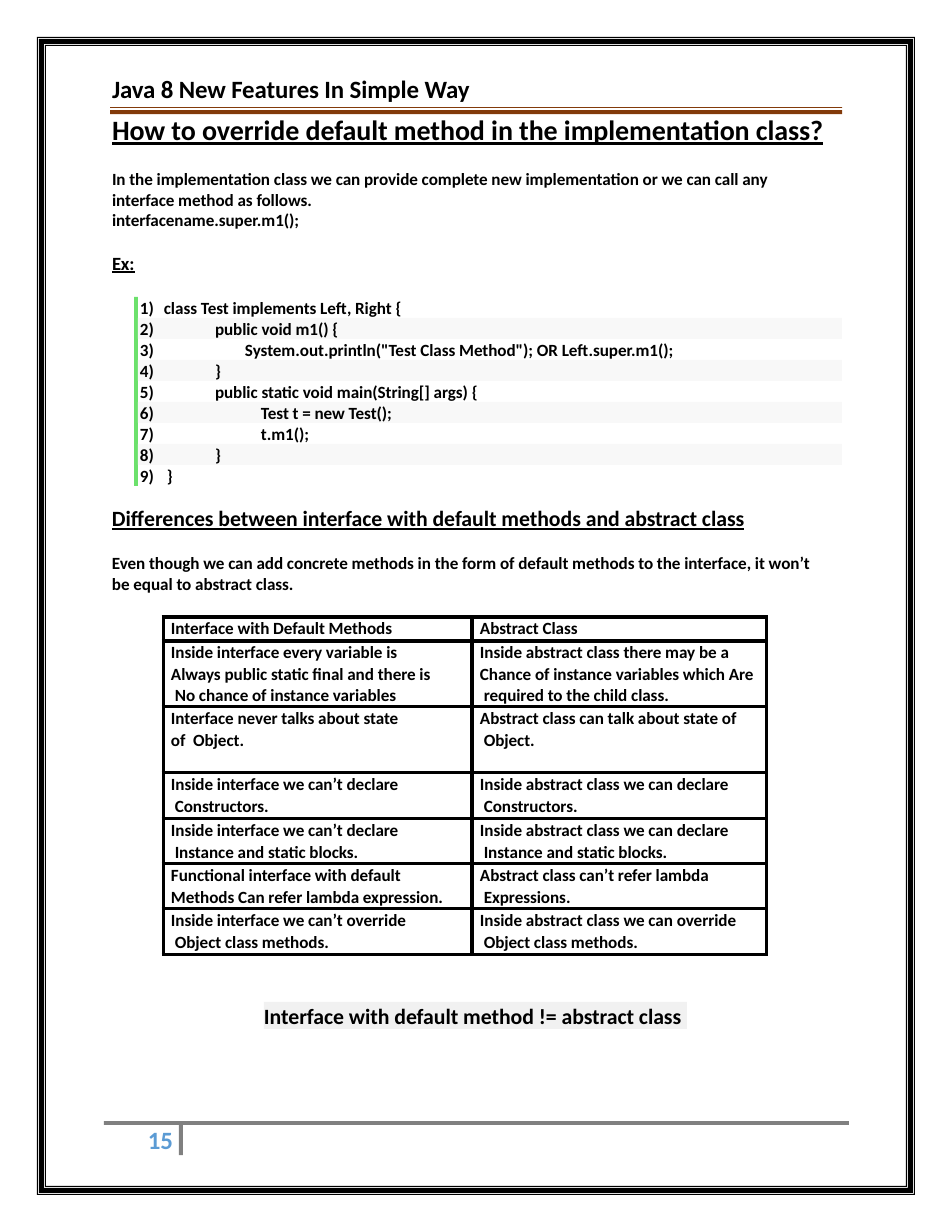
from copy import deepcopy

from lxml.etree import SubElement
from pptx import Presentation
from pptx.dml.color import RGBColor
from pptx.enum.shapes import MSO_SHAPE as Shape
from pptx.enum.text import MSO_ANCHOR as Anchor, MSO_AUTO_SIZE as AutoSize, PP_ALIGN as Align
from pptx.oxml.ns import qn
from pptx.util import Emu, Pt

EMU_PER_PX = 914400 / 112
WIDTH, HEIGHT = 952, 1232
BLACK, BROWN, GREY, GREEN = "000000", "823A0A", "808080", "6CE16C"
STRIPE, LABEL, BLUE = "F8F8F8", "F1F1F1", "5B9BD4"

CODE_TOP, CODE_PITCH = 297, 21
CODE_LINES = [
    (164, "class Test implements Left, Right {"),
    (215, "public void m1() {"),
    (245, 'System.out.println("Test Class Method"); OR Left.super.m1();'),
    (215, "}"),
    (215, "public static void main(String[] args) {"),
    (261, "Test t = new Test();"),
    (261, "t.m1();"),
    (215, "}"),
    (167, "}"),
]

COLUMN_WIDTHS = [309, 295]
ROW_HEIGHTS = [24, 66, 66, 46, 45, 45, 46]
# "\v" is a line break inside a paragraph
COMPARISON = [
    ("Interface with Default Methods", "Abstract Class"),
    ("Inside interface every variable is\vAlways public static final and there is\v"
     " No chance of instance variables",
     "Inside abstract class there may be a\vChance of instance variables which Are\v"
     " required to the child class."),
    ("Interface never talks about state\vof  Object.",
     "Abstract class can talk about state of\v Object."),
    ("Inside interface we can’t declare\v Constructors.",
     "Inside abstract class we can declare\v Constructors."),
    ("Inside interface we can’t declare\v Instance and static blocks.",
     "Inside abstract class we can declare\v Instance and static blocks."),
    ("Functional interface with default\vMethods Can refer lambda expression.",
     "Abstract class can’t refer lambda\v Expressions."),
    ("Inside interface we can’t override\v Object class methods.",
     "Inside abstract class we can override\v Object class methods."),
]


def px(*lengths):
    return [Emu(round(length * EMU_PER_PX)) for length in lengths]


def rgb(color):
    return RGBColor.from_string(color)


def box_points(left, top, right, bottom):
    return [(left, top), (right, top), (right, bottom), (left, bottom)]


class Page:
    """Holds the text style and the slide being drawn."""
    font = "Calibri"
    spacing = "-5"

    def __init__(self, slide):
        self.slide = slide

    def style(self, paragraph, size=11, color=BLACK, underline=False, before=0, line=1.0):
        paragraph.alignment = Align.LEFT
        paragraph.line_spacing = line
        paragraph.space_before = Pt(before)
        for run in paragraph.runs:
            run.font.name, run.font.size = self.font, Pt(size)
            run.font.bold, run.font.underline = True, underline
            run.font.color.rgb = rgb(color)
            run._r.get_or_add_rPr().set("spc", self.spacing)
        for line_break in paragraph._p.findall(qn("a:br")):
            line_break.append(deepcopy(paragraph.runs[0]._r.rPr))

    def fill_text(self, shape, paragraphs, anchor=Anchor.TOP, wrap=True):
        """Write (text, style options) pairs into a shape without insets."""
        frame = shape.text_frame
        frame.margin_left = frame.margin_right = frame.margin_top = frame.margin_bottom = 0
        frame.word_wrap, frame.auto_size = wrap, AutoSize.NONE
        frame.vertical_anchor = anchor
        frame.text = "\n".join(text for text, _ in paragraphs)
        for paragraph, (_, options) in zip(frame.paragraphs, paragraphs):
            self.style(paragraph, **options)

    def placeholder(self, index, place, paragraphs):
        shape = self.slide.placeholders[index]
        shape.left, shape.top, shape.width, shape.height = px(*place)
        self.fill_text(shape, paragraphs)
        for paragraph in shape.text_frame.paragraphs:
            properties = paragraph._p.get_or_add_pPr()
            properties.set("marL", "0")
            properties.set("indent", "0")
            SubElement(properties, qn("a:buNone"))

    def text(self, place, paragraphs, **layout):
        self.fill_text(self.slide.shapes.add_textbox(*px(*place)), paragraphs, **layout)

    def paint(self, shape, color):
        shape.shadow.inherit = False
        shape.fill.solid()
        shape.fill.fore_color.rgb = rgb(color)
        shape.line.fill.background()

    def outline(self, contours, color):
        """Fill closed contours; a contour inside another cuts a hole."""
        first, *others = contours
        builder = self.slide.shapes.build_freeform(*first[0], scale=EMU_PER_PX)
        builder.add_line_segments(first[1:])
        for contour in others:
            builder.move_to(*contour[0])
            builder.add_line_segments(contour[1:])
        self.paint(builder.convert_to_shape(), color)

    def rectangle(self, place, color):
        shape = self.slide.shapes.add_shape(Shape.RECTANGLE, *px(*place))
        self.paint(shape, color)
        return shape

    def border(self, cell):
        properties = cell._tc.get_or_add_tcPr()
        for position, side in enumerate(("a:lnL", "a:lnR", "a:lnT", "a:lnB")):
            line = SubElement(properties, qn(side), w=str(Pt(2.25)))
            fill = SubElement(line, qn("a:solidFill"))
            SubElement(fill, qn("a:srgbClr"), val=BLACK)
            properties.insert(position, line)

    def table(self, left, top, rows):
        place = px(left, top, sum(COLUMN_WIDTHS), sum(ROW_HEIGHTS))
        table = self.slide.shapes.add_table(len(rows), len(rows[0]), *place).table
        table.first_row = table.horz_banding = False
        for column, width in zip(table.columns, px(*COLUMN_WIDTHS)):
            column.width = width
        for row, height, texts in zip(table.rows, px(*ROW_HEIGHTS), rows):
            row.height = height
            for cell, text in zip(row.cells, texts):
                cell.margin_left, cell.margin_top = px(8, 1)
                cell.margin_right = cell.margin_bottom = 0
                cell.fill.background()
                self.border(cell)
                paragraph = cell.text_frame.paragraphs[0]
                paragraph.text = text
                self.style(paragraph, line=1.02)


def main():
    presentation = Presentation()
    presentation.slide_width, presentation.slide_height = px(WIDTH, HEIGHT)
    page = Page(presentation.slides.add_slide(presentation.slide_layouts[1]))

    page.outline([box_points(110, 110, 842, 114), box_points(110, 107, 842, 108)], BROWN)
    page.outline([[(104, 1121), (849, 1121), (849, 1125), (183, 1125), (183, 1155),
                   (179, 1155), (179, 1125), (104, 1125)]], GREY)
    page.placeholder(0, (112, 74, 728, 74), [
        ("Java 8 New Features In Simple Way", dict(size=16)),
        ("How to override default method in the implementation class?",
         dict(size=18, underline=True, before=5.8)),
    ])
    page.placeholder(1, (112, 168, 666, 110), [
        ("In the implementation class we can provide complete new implementation "
         "or we can call any interface method as follows.", dict(line=1.02)),
        ("interfacename.super.m1();", {}),
        ("Ex:", dict(size=12, underline=True, before=13.7)),
    ])

    for index, (left, code) in enumerate(CODE_LINES):
        top = CODE_TOP + index * CODE_PITCH
        page.rectangle((134, top, 4, CODE_PITCH), GREEN)
        if index % 2:
            page.rectangle((138, top, 704, CODE_PITCH), STRIPE)
        page.text((140, top, 17, CODE_PITCH), [(f"{index + 1})", {})], wrap=False)
        page.text((left, top, 842 - left, CODE_PITCH), [(code, {})], wrap=False)

    page.text((112, 505, 710, 92), [
        ("Differences between interface with default methods and abstract class",
         dict(size=14, underline=True)),
        ("Even though we can add concrete methods in the form of default methods "
         "to the interface, it won’t be equal to abstract class.",
         dict(before=13.4, line=1.02)),
    ])
    page.table(163, 617, COMPARISON)
    page.fill_text(page.rectangle((264, 1002, 423, 27), LABEL),
                   [("Interface with default method != abstract class", dict(size=14))],
                   anchor=Anchor.MIDDLE, wrap=False)

    insets = (37, 38, 39, 44, 45, 46)
    page.outline([box_points(inset, inset, WIDTH - inset, HEIGHT - inset)
                  for inset in insets], BLACK)
    page.text((148, 1126, 29, 28), [("15", dict(size=16, color=BLUE))],
              anchor=Anchor.MIDDLE, wrap=False)
    presentation.save("out.pptx")


if __name__ == "__main__":
    main()
